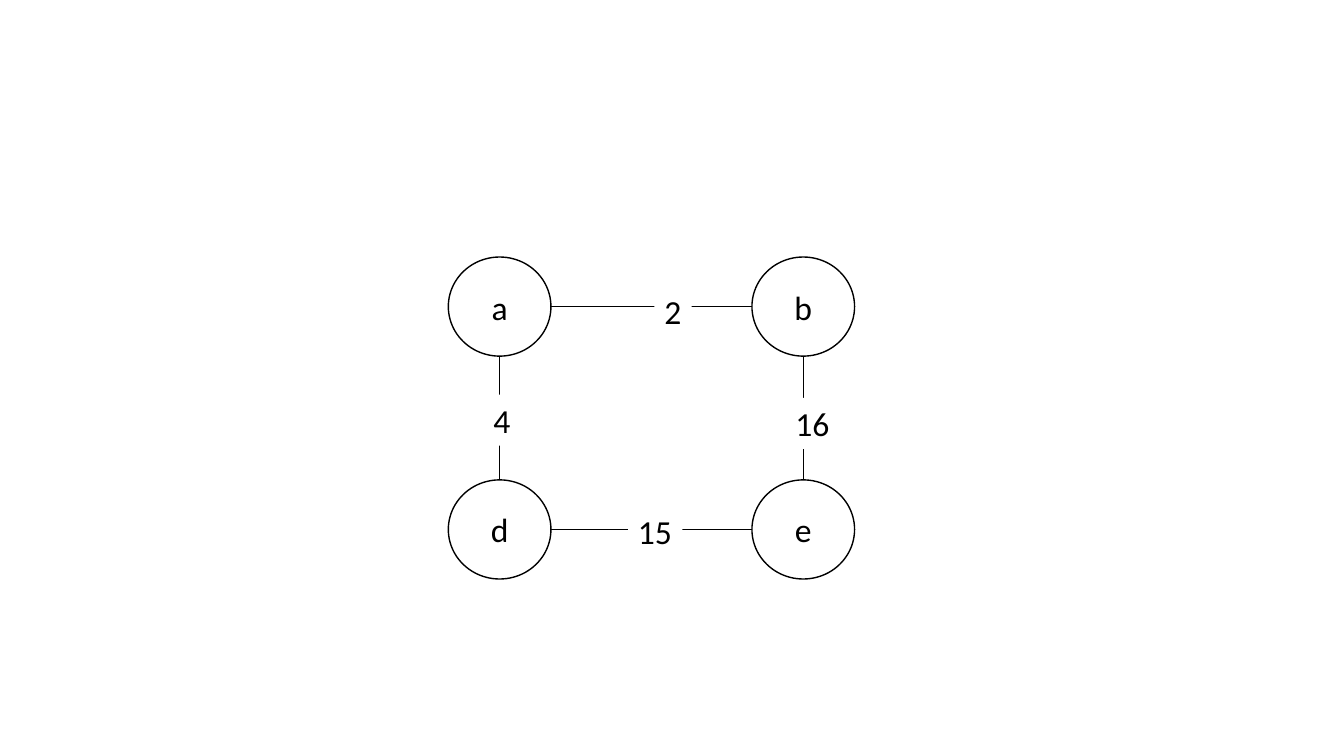
from pptx import Presentation
from pptx.dml.color import RGBColor
from pptx.enum.shapes import MSO_CONNECTOR, MSO_SHAPE
from pptx.enum.text import MSO_ANCHOR, MSO_AUTO_SIZE, PP_ALIGN
from pptx.oxml.ns import qn
from pptx.util import Pt
from lxml.etree import SubElement

BLACK, WHITE = "000000", "FFFFFF"
NODE_W, NODE_H = 73.3, 70.8
LABEL_H = 36.35

# Node centres
LEFT, RIGHT, TOP, BOTTOM = 356.9, 573.8, 219, 378.2
NODES = {"a": (LEFT, TOP), "b": (RIGHT, TOP),
         "d": (LEFT, BOTTOM), "e": (RIGHT, BOTTOM)}

# Edge ends, weight, and left and top of the weight label
EDGES = [("a", "b", "2", 467.5, 204.5), ("d", "e", "15", 448.6, 361.5),
         ("b", "e", "16", 561, 284.3), ("a", "d", "4", 345.4, 282)]


def rgb(color):
    return RGBColor.from_string(color)


def set_text(tf, text, align):
    p = tf.paragraphs[0]
    p.text = text
    p.alignment = align
    p.font.name = "Calibri"
    p.font.size = Pt(24)
    p.font.color.rgb = rgb(BLACK)


def add_node(slide, name):
    x, y = NODES[name]
    s = slide.shapes.add_shape(MSO_SHAPE.FLOWCHART_CONNECTOR,
                               Pt(x - NODE_W / 2), Pt(y - NODE_H / 2),
                               Pt(NODE_W), Pt(NODE_H))
    s.shadow.inherit = False
    s.fill.background()
    s.line.color.rgb = rgb(BLACK)
    s.line.width = Pt(1)
    s.text_frame.vertical_anchor = MSO_ANCHOR.MIDDLE
    set_text(s.text_frame, name, PP_ALIGN.CENTER)


def add_edge(slide, start, end):
    (x1, y1), (x2, y2) = NODES[start], NODES[end]
    # Trim the line to the borders of both nodes
    dx, dy = (NODE_W / 2, 0) if y1 == y2 else (0, NODE_H / 2)
    s = slide.shapes.add_connector(MSO_CONNECTOR.STRAIGHT,
                                   Pt(x1 + dx), Pt(y1 + dy),
                                   Pt(x2 - dx), Pt(y2 - dy))
    s.line.color.rgb = rgb(BLACK)
    s.line.width = Pt(0.5)
    SubElement(s._element.spPr, qn("a:effectLst"))


def add_weight(slide, weight, x, y):
    width = 14.4 + 12.2 * len(weight)
    s = slide.shapes.add_textbox(Pt(x), Pt(y), Pt(width), Pt(LABEL_H))
    s.fill.solid()
    s.fill.fore_color.rgb = rgb(WHITE)
    tf = s.text_frame
    tf.word_wrap = False
    tf.auto_size = MSO_AUTO_SIZE.SHAPE_TO_FIT_TEXT
    set_text(tf, weight, PP_ALIGN.LEFT)


def main():
    prs = Presentation()
    prs.slide_width, prs.slide_height = Pt(960), Pt(540)
    slide = prs.slides.add_slide(prs.slide_layouts[6])

    # Graph: nodes, then edges, then weights over the edges
    for name in NODES:
        add_node(slide, name)
    for start, end, *_ in EDGES:
        add_edge(slide, start, end)
    for _, _, weight, x, y in EDGES:
        add_weight(slide, weight, x, y)

    prs.save("out.pptx")


if __name__ == "__main__":
    main()
